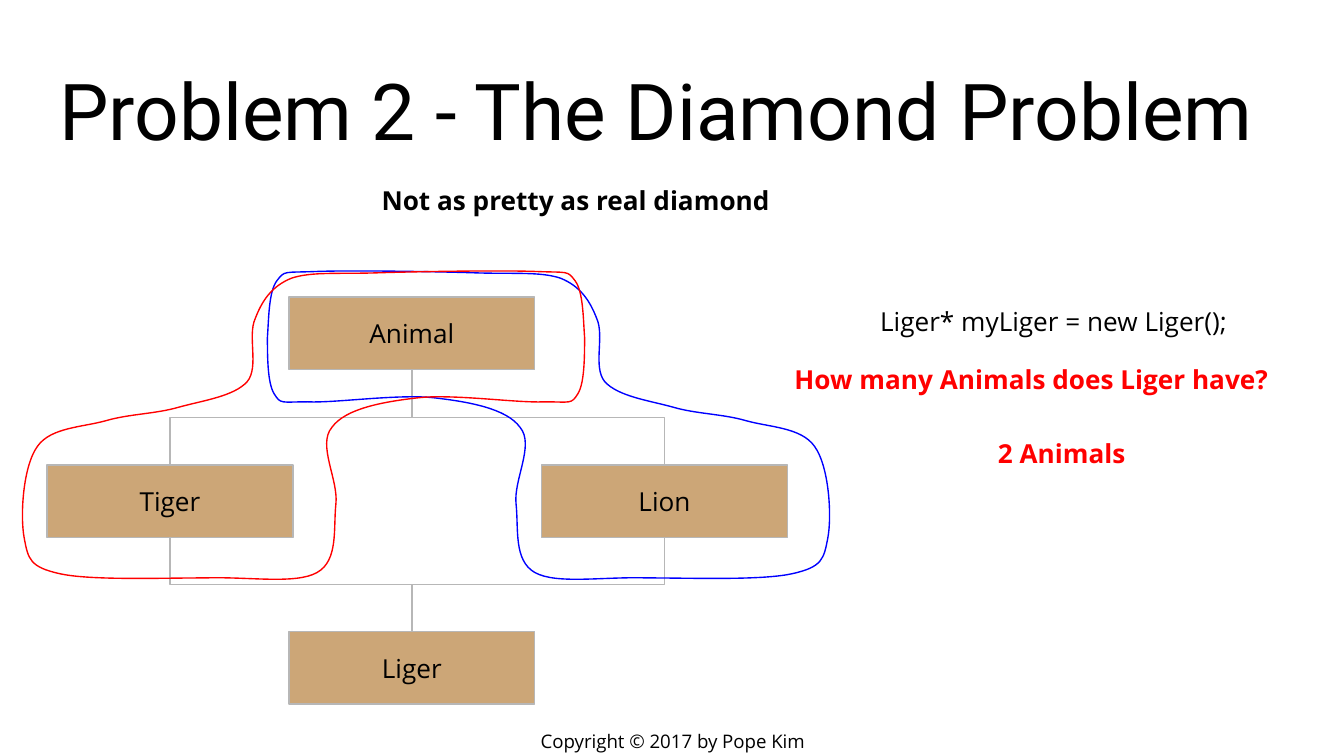
from dataclasses import dataclass

from lxml import etree
from pptx import Presentation
from pptx import util as u
from pptx.dml.color import RGBColor
from pptx.enum import shapes, text
from pptx.oxml import ns


@dataclass(frozen=True)
class Theme:
    black: RGBColor = RGBColor(0, 0, 0)
    red: RGBColor = RGBColor(255, 0, 0)
    blue: RGBColor = RGBColor(0, 0, 255)
    tan: RGBColor = RGBColor(0xCC, 0xA6, 0x77)
    gray: RGBColor = RGBColor(0xB7, 0xB7, 0xB7)
    heading: str = "Roboto"
    body: str = "Open Sans"
    title_size: float = 42
    body_size: float = 14
    footer_size: float = 10
    line: float = 0.75


THEME = Theme()
CLASS_W, CLASS_H = 1.83, 0.54
LEFT, CENTER = text.PP_ALIGN.LEFT, text.PP_ALIGN.CENTER
TOP, MIDDLE, BOTTOM = (text.MSO_ANCHOR.TOP, text.MSO_ANCHOR.MIDDLE,
                       text.MSO_ANCHOR.BOTTOM)

# Loop around Animal and Lion: a start point, then two handles and an end per curve
LOOP_START = (4.17, 2.07)
LOOP_CURVES = [
    (4.32, 2.13, 4.39, 2.24, 4.44, 2.37), (4.5, 2.5, 4.41, 2.73, 4.5, 2.84),
    (4.6, 2.95, 4.83, 2.98, 5.01, 3.03), (5.18, 3.08, 5.38, 3.08, 5.55, 3.13),
    (5.73, 3.18, 5.96, 3.18, 6.06, 3.32), (6.17, 3.47, 6.19, 3.84, 6.16, 4),
    (6.13, 4.16, 6.12, 4.22, 5.89, 4.27), (5.66, 4.32, 5.13, 4.3, 4.81, 4.3),
    (4.49, 4.29, 4.14, 4.35, 3.98, 4.26), (3.82, 4.17, 3.86, 3.93, 3.84, 3.75),
    (3.82, 3.57, 3.98, 3.31, 3.87, 3.18), (3.77, 3.04, 3.49, 2.99, 3.23, 2.96),
    (2.96, 2.93, 2.49, 3, 2.29, 2.99), (2.09, 2.99, 2.09, 3.01, 2.04, 2.93),
    (1.99, 2.85, 1.99, 2.65, 1.99, 2.51), (2, 2.37, 2, 2.17, 2.06, 2.09),
    (2.12, 2.01, 2.11, 2.03, 2.35, 2.02), (2.6, 2.01, 3.23, 2.02, 3.53, 2.03),
    (3.83, 2.04, 4.02, 2.02, 4.17, 2.07),
]
MIRROR_SUM = 6.34  # x of a point plus x of its mirrored twin


def write(shape, words, size=THEME.body_size, color=THEME.black, bold=False,
          align=CENTER, anchor=MIDDLE, face=THEME.body):
    frame = shape.text_frame
    frame.word_wrap = True
    frame.auto_size = text.MSO_AUTO_SIZE.NONE
    frame.vertical_anchor = anchor
    frame.margin_left = frame.margin_right = u.Inches(0.1)
    frame.margin_top = frame.margin_bottom = u.Inches(0.1)
    paragraph = frame.paragraphs[0]
    paragraph.text = words
    paragraph.alignment = align
    font = paragraph.font
    font.name, font.size, font.bold = face, u.Pt(size), bold
    font.color.rgb = color


def add_label(slide, box, words, **style):
    write(slide.shapes.add_textbox(*map(u.Inches, box)), words, **style)


def outline(shape, color):
    shape.line.color.rgb = color
    shape.line.width = u.Pt(THEME.line)


def add_title(slide, box, words):
    title = slide.shapes.title
    title.left, title.top, title.width, title.height = map(u.Inches, box)
    write(title, words, size=THEME.title_size, align=LEFT, anchor=BOTTOM,
          face=THEME.heading)


def add_class(slide, left, top, name):
    node = slide.shapes.add_shape(
        shapes.MSO_SHAPE.RECTANGLE,
        *map(u.Inches, (left, top, CLASS_W, CLASS_H)))
    node.shadow.inherit = False
    node.fill.solid()
    node.fill.fore_color.rgb = THEME.tan
    outline(node, THEME.gray)
    write(node, name)
    return node


def join(slide, upper, lower):
    """Elbow from the bottom of one class to the top of another."""
    x1, y1 = upper.left + upper.width // 2, upper.top + upper.height
    x2, y2 = lower.left + lower.width // 2, lower.top
    link = slide.shapes.add_connector(shapes.MSO_CONNECTOR.ELBOW, x1, y1, x2, y2)
    link.begin_connect(upper, 2)
    link.end_connect(lower, 0)
    outline(link, THEME.gray)
    properties = link._element.spPr
    etree.SubElement(properties, ns.qn("a:effectLst"))
    # Turn the elbow a quarter so that it leaves and arrives vertically
    run, drop = abs(x2 - x1), y2 - y1
    link.width, link.height = drop, run
    link.left, link.top = (x1 + x2 - drop) // 2, (y1 + y2 - run) // 2
    frame = properties.find(ns.qn("a:xfrm"))
    rightward = x2 > x1
    frame.set("rot", str((270 if rightward else 90) * 60000))
    frame.set("flipH", "1" if rightward else "0")
    frame.set("flipV", "0")


def add_loop(slide, left, top, color, mirrored=False):
    """Closed curve whose points are moved by left and top."""
    def place(x, y):
        x = MIRROR_SUM - x if mirrored else x
        return u.Inches(left + x), u.Inches(top + y)

    builder = slide.shapes.build_freeform(*place(*LOOP_START), scale=1.0)
    builder.add_line_segments([place(*curve[4:]) for curve in LOOP_CURVES])
    loop = builder.convert_to_shape()
    loop.shadow.inherit = False
    loop.fill.background()
    outline(loop, color)
    # Bend each straight segment into a Bezier curve
    segments = list(loop._element.iter(ns.qn("a:lnTo")))
    for segment, curve in zip(segments, LOOP_CURVES):
        bend = etree.Element(ns.qn("a:cubicBezTo"))
        for i in (0, 2, 4):
            x, y = place(*curve[i:i + 2])
            etree.SubElement(bend, ns.qn("a:pt"),
                             x=str(x - loop.left), y=str(y - loop.top))
        segment.getparent().replace(segment, bend)


def add_diamond(slide, left, top):
    # Classes
    animal = add_class(slide, left + 1.8, top, "Animal")
    tiger = add_class(slide, left, top + 1.25, "Tiger")
    lion = add_class(slide, left + 3.68, top + 1.25, "Lion")
    liger = add_class(slide, left + 1.8, top + 2.49, "Liger")
    # Inheritance
    for upper, lower in ((animal, lion), (animal, tiger),
                         (tiger, liger), (lion, liger)):
        join(slide, upper, lower)
    # The two inherited halves
    add_loop(slide, left - 0.35, top - 2.21, THEME.blue)
    add_loop(slide, left - 0.35, top - 2.21, THEME.red, mirrored=True)


def add_question(slide, left, top):
    add_label(slide, (left + 1, top, 2.91, 0.54),
              "Liger* myLiger = new Liger();", align=LEFT)
    add_label(slide, (left, top + 0.43, 4.45, 0.54),
              "How many Animals does Liger have?", color=THEME.red, bold=True)
    add_label(slide, (left + 0.74, top + 0.98, 3.42, 0.54),
              "2 Animals", color=THEME.red, bold=True)


def main():
    deck = Presentation()
    deck.slide_width = u.Inches(10)
    deck.slide_height = deck.slide_width * 9 // 16
    slide = deck.slides.add_slide(deck.slide_layouts[5])
    add_label(slide, (3.77, 5.41, 2.47, 0.21), "Copyright © 2017 by Pope Kim",
              size=THEME.footer_size)
    add_title(slide, (0.34, 0.35, 9.32, 0.91), "Problem 2 - The Diamond Problem")
    add_diamond(slide, 0.35, 2.21)
    add_question(slide, 5.45, 2.12)
    add_label(slide, (2.74, 1.27, 3.21, 0.49), "Not as pretty as real diamond",
              bold=True, align=LEFT, anchor=TOP)
    deck.save("out.pptx")


if __name__ == "__main__":
    main()
